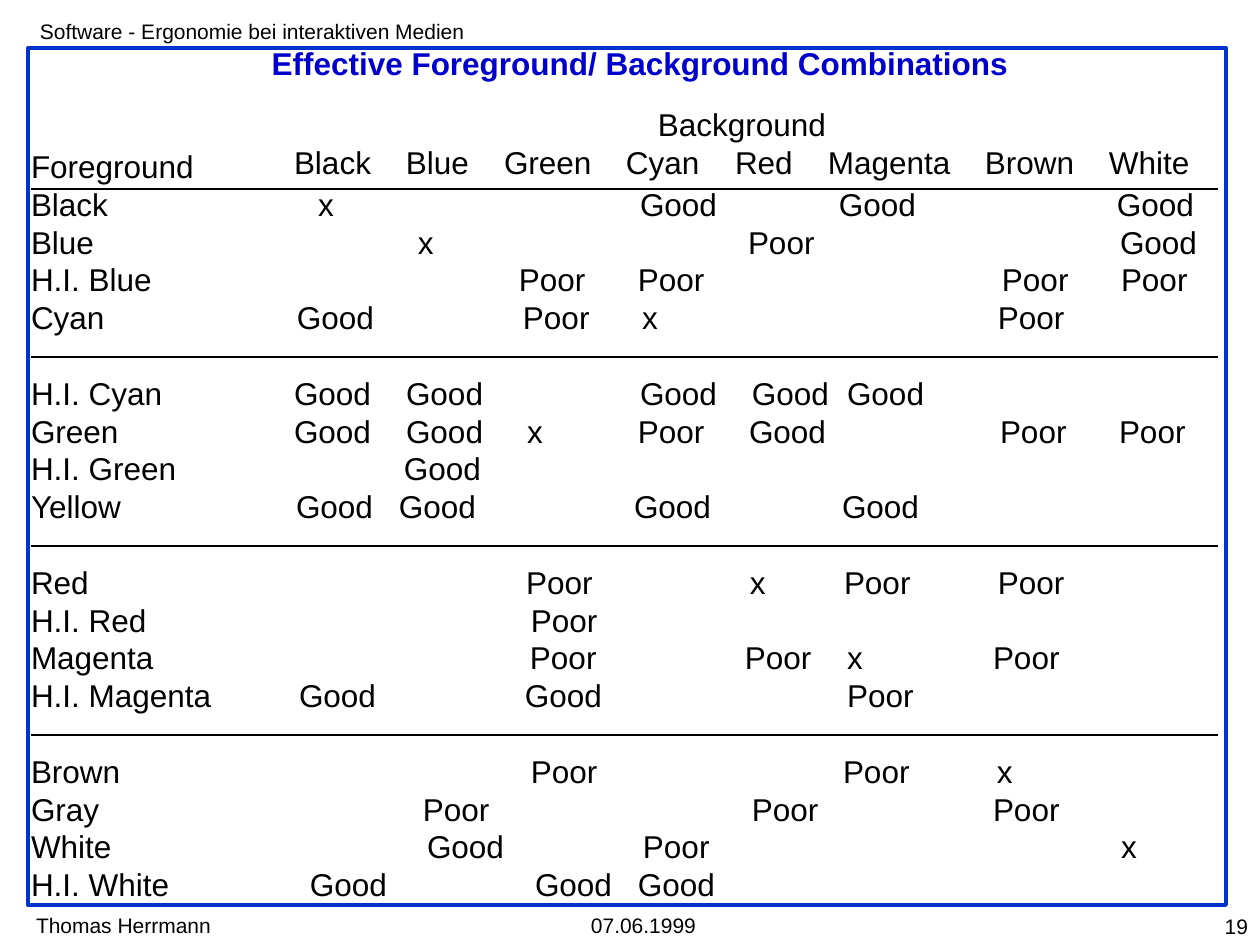
from dataclasses import dataclass

from lxml import etree
from pptx import Presentation
from pptx import util as u
from pptx.dml.color import RGBColor
from pptx.enum import shapes, text
from pptx.oxml.ns import qn

HUES = {"frame": "0033CC", "title": "0000CC", "ink": "000000"}
FONT = "Arial"
LEFT, RIGHT = 31, 1218
PITCH = 21.6
MID = text.PP_ALIGN.CENTER


@dataclass
class Box:
    x: int
    y: int
    w: int
    h: int


@dataclass
class Label:
    words: str
    box: Box
    align: text.PP_ALIGN = text.PP_ALIGN.LEFT
    size: int = 12
    hue: str = "ink"
    bold: bool = False


@dataclass
class Row:
    name: str
    cells: list[tuple[int, str]]


LABELS = [
    Label("Thomas Herrmann", Box(23, 907, 210, 38)),
    Label("Software - Ergonomie bei interaktiven Medien", Box(27, 13, 466, 38)),
    Label("07.06.1999", Box(578, 907, 140, 38)),
    Label("19", Box(1140, 908, 121, 38), text.PP_ALIGN.RIGHT),
    Label("Effective Foreground/ Background Combinations",
          Box(73, 38, 1134, 50), MID, 18, "title", True),
]

HEAD = Row("", [(294, "Black"), (406, "Blue"), (504, "Green"), (626, "Cyan"),
                (735, "Red"), (828, "Magenta"), (985, "Brown"), (1109, "White")])

GROUPS = [
    [
        Row("Foreground", []),
        Row("Black", [(318, "x"), (640, "Good"), (839, "Good"), (1117, "Good")]),
        Row("Blue", [(418, "x"), (748, "Poor"), (1120, "Good")]),
        Row("H.I. Blue", [(519, "Poor"), (638, "Poor"), (1002, "Poor"), (1121, "Poor")]),
        Row("Cyan", [(297, "Good"), (523, "Poor"), (642, "x"), (998, "Poor")]),
    ],
    [
        Row("H.I. Cyan", [(294, "Good"), (406, "Good"), (640, "Good"),
                          (752, "Good"), (847, "Good")]),
        Row("Green", [(294, "Good"), (406, "Good"), (527, "x"), (638, "Poor"),
                      (749, "Good"), (1000, "Poor"), (1119, "Poor")]),
        Row("H.I. Green", [(404, "Good")]),
        Row("Yellow", [(296, "Good"), (399, "Good"), (634, "Good"), (842, "Good")]),
    ],
    [
        Row("Red", [(526, "Poor"), (750, "x"), (844, "Poor"), (998, "Poor")]),
        Row("H.I. Red", [(531, "Poor")]),
        Row("Magenta", [(530, "Poor"), (745, "Poor"), (847, "x"), (993, "Poor")]),
        Row("H.I. Magenta", [(299, "Good"), (525, "Good"), (847, "Poor")]),
    ],
    [
        Row("Brown", [(531, "Poor"), (843, "Poor"), (997, "x")]),
        Row("Gray", [(423, "Poor"), (752, "Poor"), (993, "Poor")]),
        Row("White", [(427, "Good"), (643, "Poor"), (1121, "x")]),
        Row("H.I. White", [(310, "Good"), (535, "Good"), (638, "Good")]),
    ],
]


def px(n: int) -> int:
    return round(n * 914400 / 126)


def area(box: Box) -> tuple[int, ...]:
    return tuple(px(n) for n in (box.x, box.y, box.w, box.h))


def tint(name: str) -> RGBColor:
    return RGBColor.from_string(HUES[name])


def frame(page, box: Box) -> None:
    rect = page.shapes.add_shape(shapes.MSO_SHAPE.RECTANGLE, *area(box))
    rect.shadow.inherit = False
    rect.fill.background()
    rect.line.color.rgb = tint("frame")
    rect.line.width = u.Pt(2.25)


def field(page, box: Box, side: int = 0, top: int = 0):
    body = page.shapes.add_textbox(*area(box)).text_frame
    body.word_wrap = True
    body.margin_left = body.margin_right = px(side)
    body.margin_top = body.margin_bottom = px(top)
    return body


def write(para, words: str, size: int = 18, hue: str = "ink", bold: bool = False) -> None:
    run = para.add_run()
    run.text = words
    run.font.name = FONT
    run.font.size = u.Pt(size)
    run.font.bold = bold
    run.font.color.rgb = tint(hue)


def label(page, item: Label) -> None:
    body = field(page, item.box, 13, 6)
    para = body.paragraphs[0]
    para.alignment = item.align
    write(para, item.words, item.size, item.hue, item.bold)


def fill_row(para, row: Row, start: int) -> None:
    if row.cells:
        tabs = etree.SubElement(para._p.get_or_add_pPr(), qn("a:tabLst"))
        for x, _ in row.cells:
            etree.SubElement(tabs, qn("a:tab"), pos=str(px(x - start)), algn="l")
    para.line_spacing = u.Pt(PITCH)
    if row.name:
        write(para, row.name)
    for _, word in row.cells:
        write(para, "\t" + word)


def header(page, box: Box) -> None:
    body = field(page, box)
    para = body.paragraphs[0]
    para.alignment = MID
    para.line_spacing = u.Pt(PITCH)
    write(para, "Background")
    fill_row(body.add_paragraph(), HEAD, box.x)


def matrix(page, box: Box) -> None:
    body = field(page, box)
    for g, group in enumerate(GROUPS):
        for r, row in enumerate(group):
            para = body.add_paragraph() if g or r else body.paragraphs[0]
            fill_row(para, row, box.x)
            if g and not r:
                para.space_before = u.Pt(PITCH)


def rule(page, y: int) -> None:
    line = page.shapes.add_connector(
        shapes.MSO_CONNECTOR.STRAIGHT, px(LEFT), px(y), px(RIGHT), px(y))
    line.line.color.rgb = tint("ink")
    line.line.width = u.Pt(1.5)
    etree.SubElement(line._element.spPr, qn("a:effectLst"))


def main() -> None:
    deck = Presentation()
    deck.slide_width, deck.slide_height = px(1260), px(945)
    page = deck.slides.add_slide(deck.slide_layouts[6])
    frame(page, Box(28, 48, 1198, 857))
    for item in LABELS:
        label(page, item)
    matrix(page, Box(LEFT, 147, 1180, 756))
    header(page, Box(290, 105, 904, 76))
    for y in (189, 357, 546, 735):
        rule(page, y)
    deck.save("out.pptx")


if __name__ == "__main__":
    main()
